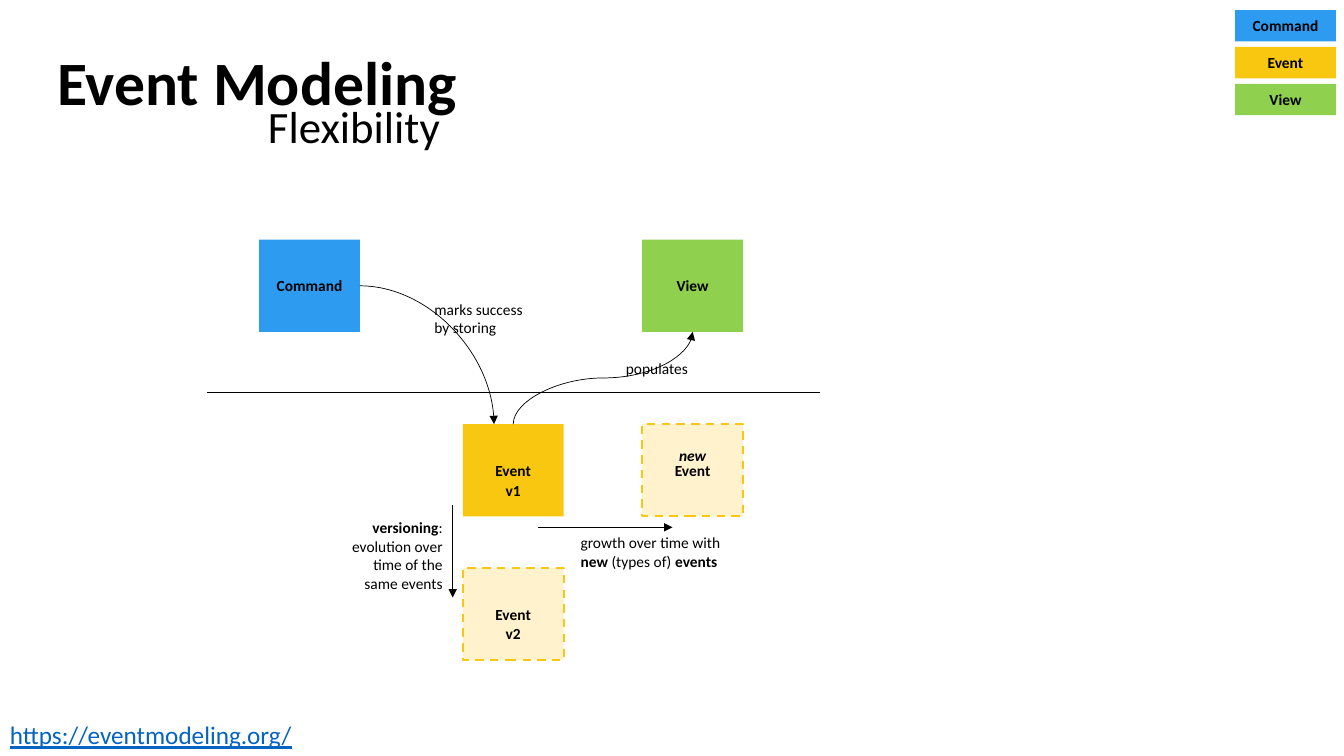
from dataclasses import dataclass
from typing import NamedTuple

from lxml.etree import SubElement
from pptx import Presentation
from pptx.dml.color import RGBColor
from pptx.enum.dml import MSO_LINE
from pptx.enum.shapes import MSO_CONNECTOR, MSO_SHAPE
from pptx.enum.text import MSO_ANCHOR, MSO_AUTO_SIZE, PP_ALIGN
from pptx.oxml.ns import qn
from pptx.shapes.connector import Connector
from pptx.slide import Slide
from pptx.text.text import TextFrame
from pptx.util import Emu, Inches, Pt

SLIDE_WIDTH, SLIDE_HEIGHT = Inches(13.33), Inches(7.5)
# One column is a box wide, one row is a box high.
COLUMN = SLIDE_WIDTH / 13.33
ROW = SLIDE_HEIGHT / 8.2


@dataclass(frozen=True)
class Theme:
    font: str = "Calibri"
    ink: str = "000000"
    link: str = "0563C1"
    command: str = "2D9BF0"
    event: str = "FAC710"
    view: str = "8FD14F"
    future_event: str = "FFF2CC"
    title_size: float = 44
    subtitle_size: float = 32
    link_size: float = 18
    label_size: float = 11
    line_width: float = 0.5
    dash_width: float = 1.5


THEME = Theme()


class Point(NamedTuple):
    col: float
    row: float


class Span(NamedTuple):
    text: str
    bold: bool = False


@dataclass(frozen=True)
class Block:
    label: str
    col: float
    row: float
    fill: str
    height: float = 1
    dashed: bool = False


@dataclass(frozen=True)
class Caption:
    paragraphs: list[list[Span]]
    col: float
    row: float
    width: float
    height: float
    size: float = THEME.label_size
    align: PP_ALIGN = PP_ALIGN.LEFT
    color: str = THEME.ink
    italic: bool = False
    underline: bool = False
    wrap: bool = True


@dataclass(frozen=True)
class Flow:
    start: Point
    end: Point
    arrow: bool = True


COMMAND_COL, EVENT_COL, VIEW_COL, LEGEND_COL = 2.57, 4.59, 6.37, 12.25
TOP_ROW, EVENT_ROW, NEXT_ROW = 2.6, 4.6, 6.16
VERSION_DROP, NEW_DROP = 0.56, 0.18
LEGEND_ROW, LEGEND_PITCH, LEGEND_HEIGHT = 0.11, 0.4, 0.34

KINDS = [("Command", THEME.command), ("Event", THEME.event), ("View", THEME.view)]
LEGEND = [
    Block(label, LEGEND_COL, LEGEND_ROW + index * LEGEND_PITCH, fill, LEGEND_HEIGHT)
    for index, (label, fill) in enumerate(KINDS)
]
BLOCKS = [
    Block("Command", COMMAND_COL, TOP_ROW, THEME.command),
    Block("Event", EVENT_COL, EVENT_ROW, THEME.event),
    Block("View", VIEW_COL, TOP_ROW, THEME.view),
    Block("Event", EVENT_COL, NEXT_ROW, THEME.future_event, dashed=True),
    Block("Event", VIEW_COL, EVENT_ROW, THEME.future_event, dashed=True),
]
STRAIGHT_FLOWS = [
    Flow(Point(2.05, 4.26), Point(8.13, 4.26), arrow=False),
    Flow(Point(4.49, 5.48), Point(4.49, 6.48)),
    Flow(Point(5.34, 5.72), Point(6.67, 5.72)),
]
STORING = Flow(Point(COMMAND_COL + 1, TOP_ROW + 0.5), Point(4.9, EVENT_ROW))
POPULATING = Flow(Point(EVENT_COL + 0.5, EVENT_ROW), Point(VIEW_COL + 0.5, TOP_ROW + 1))
CAPTIONS = [
    Caption([[Span("Event Modeling", True)]], 0.47, 0.42, 4.2, 0.92, THEME.title_size, wrap=False),
    Caption([[Span("Flexibility")]], 2.56, 1.02, 1.93, 0.7, THEME.subtitle_size, wrap=False),
    Caption([[Span("https://eventmodeling.org/")]], 0, 7.75, 6.67, 0.44, THEME.link_size,
            color=THEME.link, underline=True),
    Caption([[Span("marks success")], [Span("by storing")]], 4.21, 3.2, 1.13, 0.51),
    Caption([[Span("populates")]], 6.11, 3.84, 1.13, 0.32),
    Caption([[Span("v1", True)]], EVENT_COL, EVENT_ROW + VERSION_DROP, 1, 0.32,
            align=PP_ALIGN.CENTER),
    Caption([[Span("v2", True)]], EVENT_COL, NEXT_ROW + VERSION_DROP, 1, 0.32,
            align=PP_ALIGN.CENTER),
    Caption([[Span("new", True)]], VIEW_COL, EVENT_ROW + NEW_DROP, 1, 0.32,
            align=PP_ALIGN.CENTER, italic=True),
    Caption([[Span("versioning", True), Span(":")],
             [Span("evolution over time of the same events")]],
            3.36, 5.57, 1.13, 0.92, align=PP_ALIGN.RIGHT),
    Caption([[Span("growth over time with "), Span("new", True),
              Span(" (types of) "), Span("events", True)]], 5.66, 5.73, 1.87, 0.51),
]


def across(columns: float) -> Emu:
    return Emu(round(columns * COLUMN))


def down(rows: float) -> Emu:
    return Emu(round(rows * ROW))


def write(frame: TextFrame, caption: Caption) -> None:
    for index, spans in enumerate(caption.paragraphs):
        paragraph = frame.add_paragraph() if index else frame.paragraphs[0]
        paragraph.alignment = caption.align
        font = paragraph.font
        font.name, font.size = THEME.font, Pt(caption.size)
        font.color.rgb = RGBColor.from_string(caption.color)
        font.italic, font.underline = caption.italic, caption.underline
        same_weight = len({span.bold for span in spans}) == 1
        if same_weight:
            font.bold = spans[0].bold
        for span in spans:
            run = paragraph.add_run()
            run.text = span.text
            if not same_weight:
                run.font.bold = span.bold


def draw_caption(slide: Slide, caption: Caption) -> None:
    frame = slide.shapes.add_textbox(across(caption.col), down(caption.row),
                                     across(caption.width), down(caption.height)).text_frame
    frame.word_wrap = caption.wrap
    frame.auto_size = MSO_AUTO_SIZE.SHAPE_TO_FIT_TEXT
    write(frame, caption)


def draw_block(slide: Slide, block: Block) -> None:
    box = slide.shapes.add_shape(MSO_SHAPE.RECTANGLE, across(block.col), down(block.row),
                                 across(1), down(block.height))
    box.shadow.inherit = False
    box.fill.solid()
    box.fill.fore_color.rgb = RGBColor.from_string(block.fill)
    if block.dashed:
        box.line.color.rgb = RGBColor.from_string(THEME.event)
        box.line.width = Pt(THEME.dash_width)
        box.line.dash_style = MSO_LINE.DASH
    else:
        box.line.fill.background()
    box.text_frame.vertical_anchor = MSO_ANCHOR.MIDDLE
    write(box.text_frame, Caption([[Span(block.label, True)]], block.col, block.row, 1,
                                  block.height, align=PP_ALIGN.CENTER))


def draw_flow(slide: Slide, flow: Flow, kind: MSO_CONNECTOR = MSO_CONNECTOR.STRAIGHT) -> Connector:
    link = slide.shapes.add_connector(kind, across(flow.start.col), down(flow.start.row),
                                      across(flow.end.col), down(flow.end.row))
    link.line.color.rgb = RGBColor.from_string(THEME.ink)
    link.line.width = Pt(THEME.line_width)
    if flow.arrow:
        SubElement(link.line._get_or_add_ln(), qn("a:tailEnd"), type="triangle")
    SubElement(link._element.spPr, qn("a:effectLst"))
    return link


def draw_quarter_curve(slide: Slide, flow: Flow) -> None:
    """Leave sideways and arrive from above, in a single bend."""
    link = draw_flow(slide, flow, MSO_CONNECTOR.CURVE)
    link._element.spPr.find(qn("a:prstGeom")).set("prst", "curvedConnector2")


def draw_rising_curve(slide: Slide, flow: Flow) -> None:
    """Leave upwards and arrive upwards: an S-curve turned by a quarter."""
    link = draw_flow(slide, flow, MSO_CONNECTOR.CURVE)
    shift = (link.width - link.height) // 2
    link.left, link.top = link.left + shift, link.top - shift
    link.width, link.height = link.height, link.width
    frame = link._element.spPr.find(qn("a:xfrm"))
    for key, value in (("rot", "5400000"), ("flipH", "1"), ("flipV", "1")):
        frame.set(key, value)


def main() -> None:
    deck = Presentation()
    deck.slide_width, deck.slide_height = SLIDE_WIDTH, SLIDE_HEIGHT
    slide = deck.slides.add_slide(deck.slide_layouts[6])
    for block in BLOCKS + LEGEND:
        draw_block(slide, block)
    for flow in STRAIGHT_FLOWS:
        draw_flow(slide, flow)
    draw_quarter_curve(slide, STORING)
    draw_rising_curve(slide, POPULATING)
    for caption in CAPTIONS:
        draw_caption(slide, caption)
    deck.save("out.pptx")


if __name__ == "__main__":
    main()
